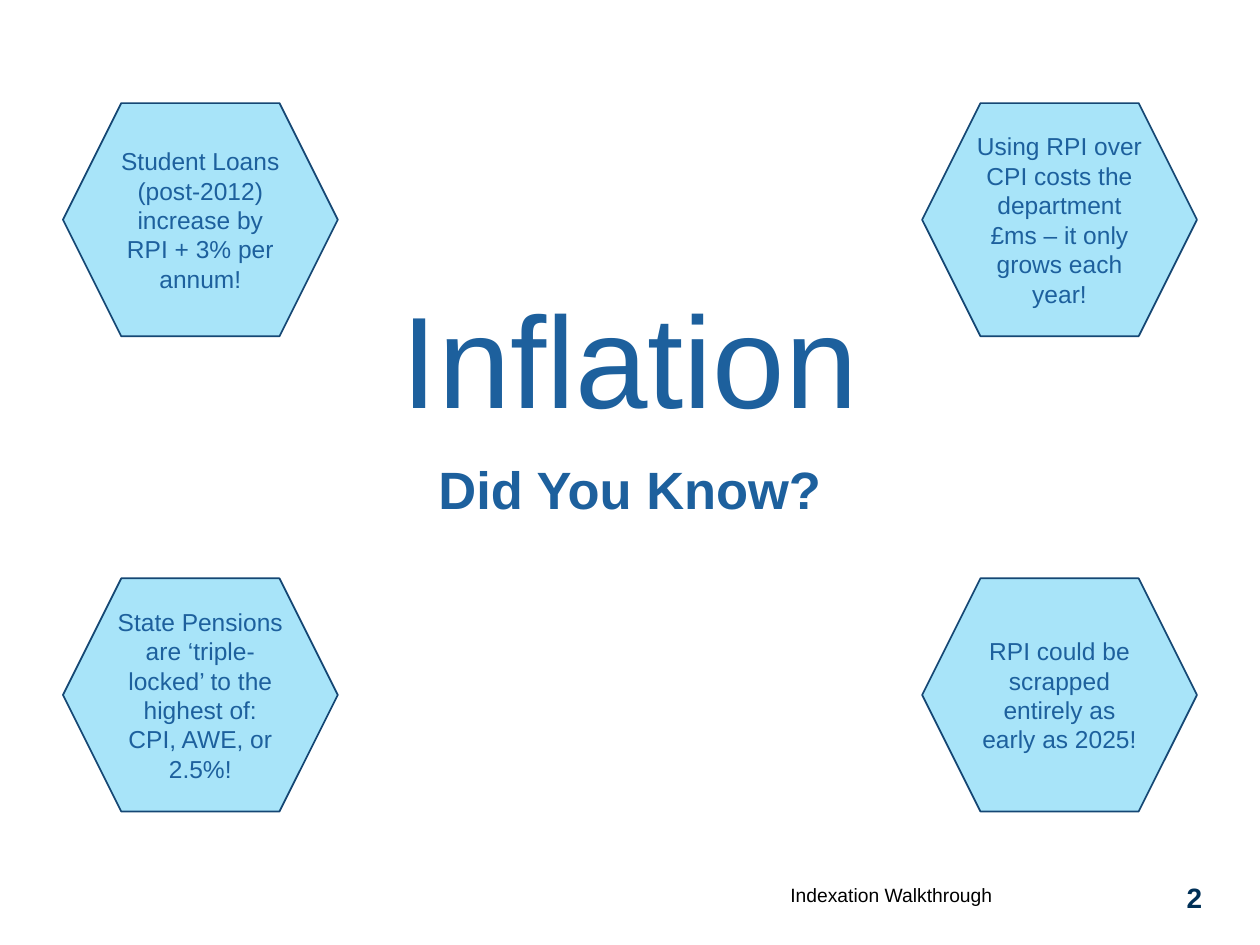
from dataclasses import dataclass

from lxml import etree
from pptx import Presentation
from pptx.dml.color import RGBColor
from pptx.enum.shapes import MSO_SHAPE
from pptx.enum.text import MSO_ANCHOR, MSO_AUTO_SIZE, PP_ALIGN
from pptx.oxml.ns import qn
from pptx.shapes.autoshape import Shape
from pptx.slide import Slide
from pptx.util import Cm, Pt

HEXAGON = MSO_SHAPE.HEXAGON
CENTER, RIGHT = PP_ALIGN.CENTER, PP_ALIGN.RIGHT
TOP, MIDDLE = MSO_ANCHOR.TOP, MSO_ANCHOR.MIDDLE
NO_AUTOFIT = MSO_AUTO_SIZE.NONE

FONT = "Arial"
COLORS = {
    "heading": "1D609D",
    "fact_fill": "00B0F0",
    "fact_line": "154774",
    "footer": "000000",
    "page_number": "003057",
}
FACT_OPACITY = 34  # percent
FACT_WIDTH, FACT_HEIGHT = Cm(5.54), Cm(4.7)
COLUMNS = (Cm(1.27), Cm(18.59))
ROWS = (Cm(2.08), Cm(11.66))


@dataclass(frozen=True)
class Fact:
    column: int
    row: int
    text: str


@dataclass(frozen=True)
class Label:
    text: str
    box: tuple[float, float, float, float]  # left, top, width, height in cm
    size: float
    color: str
    bold: bool = False
    align: PP_ALIGN = CENTER
    anchor: MSO_ANCHOR = TOP
    spacing: float = 0  # points before and after
    line_spacing: float = 1.0


FACTS = (
    Fact(0, 0, "Student Loans (post-2012) increase by RPI + 3% per annum!"),
    Fact(0, 1, "State Pensions are ‘triple-locked’ to the highest of: CPI, AWE, or 2.5%!"),
    Fact(1, 0, "Using RPI over CPI costs the department £ms – it only grows each year!"),
    Fact(1, 1, "RPI could be scrapped entirely as early as 2025!"),
)
TITLE = Label("Inflation", (8, 5.92, 9.4, 3.1), 74.4, "heading",
              anchor=MIDDLE, spacing=6, line_spacing=0.8)
LABELS = (
    Label("Did You Know?", (8, 9.22, 9.4, 1.4), 30, "heading", bold=True, spacing=6),
    Label("Indexation Walkthrough", (12.52, 17.58, 7.49, 0.91), 11, "footer",
          align=RIGHT, anchor=MIDDLE),
    Label("2", (23.7, 17.75, 0.76, 0.71), 16, "page_number", bold=True),
)


def rgb(name: str) -> RGBColor:
    return RGBColor.from_string(COLORS[name])


def write_text(shape: Shape, text: str, size: float, color: str, bold: bool = False,
               align: PP_ALIGN = CENTER, anchor: MSO_ANCHOR = MIDDLE) -> None:
    frame = shape.text_frame
    frame.text = text
    frame.word_wrap = True
    frame.auto_size = NO_AUTOFIT
    frame.vertical_anchor = anchor
    paragraph = frame.paragraphs[0]
    paragraph.alignment = align
    font = paragraph.runs[0].font
    font.name, font.size, font.bold = FONT, Pt(size), bold
    font.color.rgb = rgb(color)


def format_label(shape: Shape, label: Label) -> None:
    """Place a title or text box and fill it without inner margins."""
    shape.left, shape.top, shape.width, shape.height = map(Cm, label.box)
    write_text(shape, label.text, label.size, label.color, label.bold,
               label.align, label.anchor)
    frame = shape.text_frame
    frame.margin_left = frame.margin_right = 0
    frame.margin_top = frame.margin_bottom = 0
    paragraph = frame.paragraphs[0]
    paragraph.space_before = paragraph.space_after = Pt(label.spacing)
    paragraph.line_spacing = label.line_spacing


def add_fact(slide: Slide, fact: Fact) -> None:
    hexagon = slide.shapes.add_shape(HEXAGON, COLUMNS[fact.column], ROWS[fact.row],
                                     FACT_WIDTH, FACT_HEIGHT)
    hexagon.shadow.inherit = False
    hexagon.fill.solid()
    hexagon.fill.fore_color.rgb = rgb("fact_fill")
    fill_color = hexagon.element.spPr.find(qn("a:solidFill")).find(qn("a:srgbClr"))
    etree.SubElement(fill_color, qn("a:alpha"), val=str(FACT_OPACITY * 1000))
    hexagon.line.color.rgb = rgb("fact_line")
    hexagon.line.width = Pt(1)
    write_text(hexagon, fact.text, 14, "heading")


def main() -> None:
    presentation = Presentation()
    presentation.slide_width, presentation.slide_height = Cm(25.4), Cm(19.05)
    title_only = presentation.slide_layouts[5]
    slide = presentation.slides.add_slide(title_only)

    format_label(slide.shapes.title, TITLE)
    for label in LABELS:
        format_label(slide.shapes.add_textbox(*map(Cm, label.box)), label)
    for fact in FACTS:
        add_fact(slide, fact)

    presentation.save("out.pptx")


if __name__ == "__main__":
    main()
